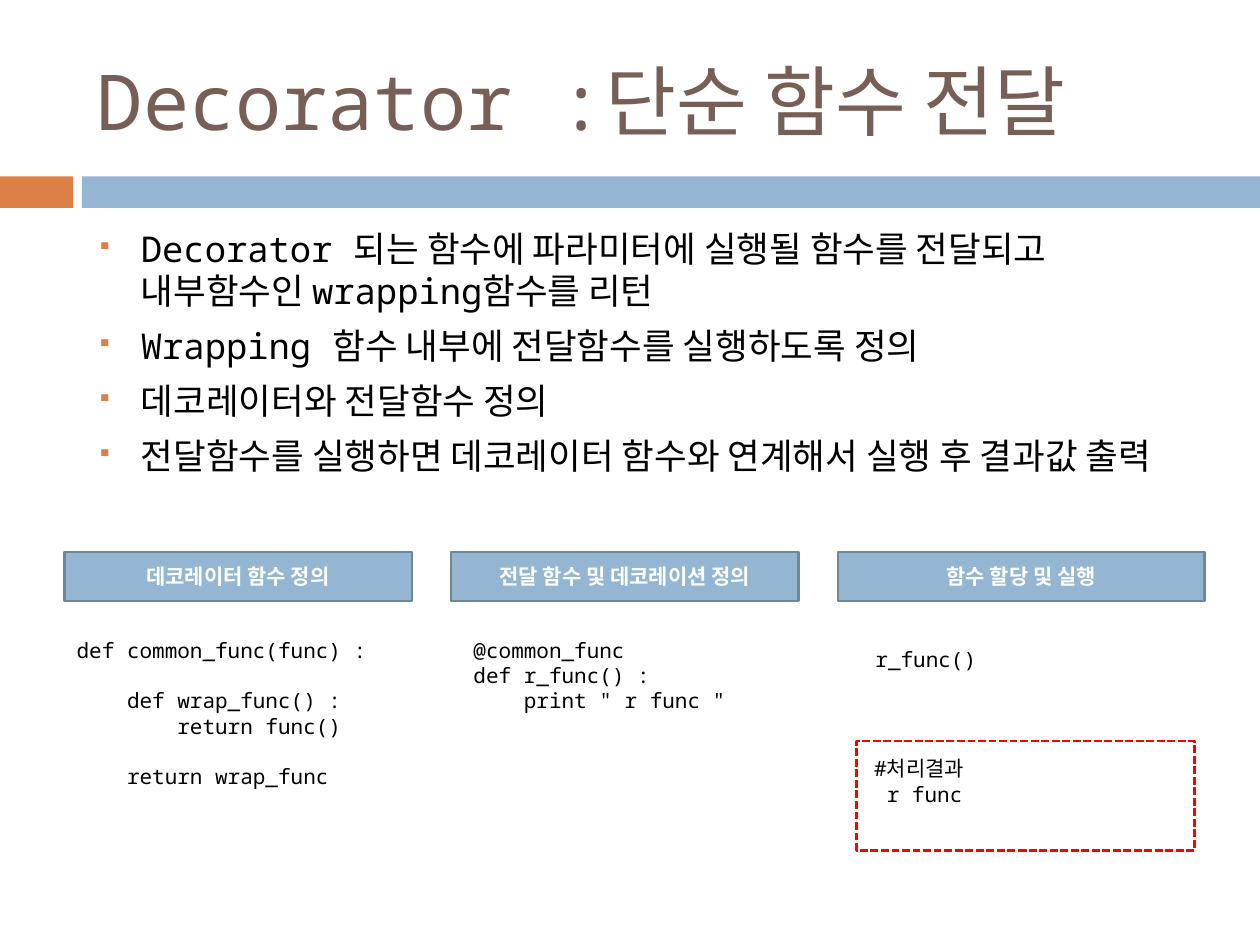
from lxml import etree
from pptx import Presentation
from pptx.dml.color import RGBColor
from pptx.enum.dml import MSO_LINE
from pptx.enum.shapes import MSO_SHAPE
from pptx.enum.text import MSO_ANCHOR, PP_ALIGN
from pptx.oxml.ns import qn
from pptx.util import Inches, Pt

FONT = "Noto Sans Mono"
BLUE, ORANGE, BROWN = "94B6D2", "DD8047", "775F55"
CODE_LINE = 14.4

BULLETS = [
    "Decorator 되는 함수에 파라미터에 실행될 함수를 전달되고 내부함수인 wrapping함수를 리턴",
    "Wrapping 함수 내부에 전달함수를 실행하도록 정의",
    "데코레이터와 전달함수 정의",
    "전달함수를 실행하면 데코레이터 함수와 연계해서 실행 후 결과값 출력",
]
DECORATOR_CODE = """def common_func(func) :

    def wrap_func() :
        return func()

    return wrap_func"""
TARGET_CODE = """@common_func
def r_func() :
    print " r func \""""


def rgb(color):
    return RGBColor.from_string(color)


def add_run(p, text, size, color="000000", bold=False):
    r = p.add_run()
    r.text = text
    r.font.name, r.font.size, r.font.bold = FONT, Pt(size), bold
    r.font.color.rgb = rgb(color)


def add_rect(s, x, y, w, h, fill=None, line=None):
    sp = s.shapes.add_shape(MSO_SHAPE.RECTANGLE, Inches(x), Inches(y), Inches(w), Inches(h))
    sp.shadow.inherit = False
    if fill:
        sp.fill.solid()
        sp.fill.fore_color.rgb = rgb(fill)
    else:
        sp.fill.background()
    if line:
        sp.line.color.rgb = rgb(line)
        sp.line.width = Pt(1.5)
    else:
        sp.line.fill.background()
    return sp


def add_text_frame(s, x, y, w, h):
    tf = s.shapes.add_textbox(Inches(x), Inches(y), Inches(w), Inches(h)).text_frame
    tf.word_wrap = True
    return tf


def next_paragraph(tf, index):
    return tf.add_paragraph() if index else tf.paragraphs[0]


def set_bullet(p):
    pPr = p._p.get_or_add_pPr()
    pPr.set("marL", str(Inches(0.35)))
    pPr.set("indent", str(-Inches(0.35)))
    color = etree.SubElement(pPr, qn("a:buClr"))
    etree.SubElement(color, qn("a:srgbClr"), val=ORANGE)
    etree.SubElement(pPr, qn("a:buSzPct"), val="60000")
    etree.SubElement(pPr, qn("a:buChar"), char="▪")


def add_title(s, x, y, w, h, text):
    tf = add_text_frame(s, x, y, w, h)
    tf.vertical_anchor = MSO_ANCHOR.MIDDLE
    add_run(tf.paragraphs[0], text, 44, BROWN)


def add_band(s, x, y, w, h):
    accent, gap = 0.58, 0.07
    add_rect(s, x, y, accent, h, ORANGE)
    add_rect(s, x + accent + gap, y, w - accent - gap, h, BLUE)


def add_bullets(s, x, y, w, h, items):
    tf = add_text_frame(s, x, y, w, h)
    for i, item in enumerate(items):
        p = next_paragraph(tf, i)
        set_bullet(p)
        if i:
            p.space_before = Pt(7)
        add_run(p, item, 20.3)


def add_header(s, x, y, w, h, text):
    sp = add_rect(s, x, y, w, h, BLUE, "6D879B")
    tf = sp.text_frame
    tf.word_wrap = True
    tf.vertical_anchor = MSO_ANCHOR.MIDDLE
    p = tf.paragraphs[0]
    p.alignment = PP_ALIGN.CENTER
    add_run(p, text, 12, "FFFFFF", True)


def add_code(s, x, y, w, h, code):
    """One paragraph per code line; an empty line becomes space before the next."""
    tf = add_text_frame(s, x, y, w, h)
    gap = count = 0
    for line in code.splitlines():
        if not line:
            gap += CODE_LINE
            continue
        p = next_paragraph(tf, count)
        if gap:
            p.space_before = Pt(gap)
        add_run(p, line, 12)
        gap, count = 0, count + 1


def add_result(s, x, y, w, h, text):
    frame = add_rect(s, x, y, w, h, line="FF0000")
    frame.line.dash_style = MSO_LINE.SQUARE_DOT
    add_code(s, x + 0.04, y + 0.07, w - 0.08, 0.5, text)


def add_columns(s, x, y):
    pitch = 3.07
    headers = [("데코레이터 함수 정의", 2.76), ("전달 함수 및 데코레이션 정의", 2.76),
               ("함수 할당 및 실행", 2.91)]
    for i, (text, w) in enumerate(headers):
        add_header(s, x + i * pitch, y, w, 0.39, text)
    add_code(s, x, y + 0.63, 2.99, 1.31, DECORATOR_CODE)
    add_code(s, x + pitch + 0.08, y + 0.63, 2.83, 0.71, TARGET_CODE)
    add_code(s, x + 2 * pitch + 0.2, y + 0.7, 2.6, 0.3, "r_func()")
    add_result(s, x + 2 * pitch + 0.15, y + 1.5, 2.68, 0.87, "#처리결과\n r func")


def main():
    prs = Presentation()
    prs.slide_width, prs.slide_height = Inches(10), Inches(7.5)
    s = prs.slides.add_slide(prs.slide_layouts[6])
    add_band(s, 0, 1.4, 10, 0.25)
    add_title(s, 0.67, 0.25, 8.92, 1.08, "Decorator :단순 함수 전달")
    add_bullets(s, 0.67, 1.75, 8.92, 2.24, BULLETS)
    add_columns(s, 0.51, 4.38)
    prs.save("out.pptx")


if __name__ == "__main__":
    main()
